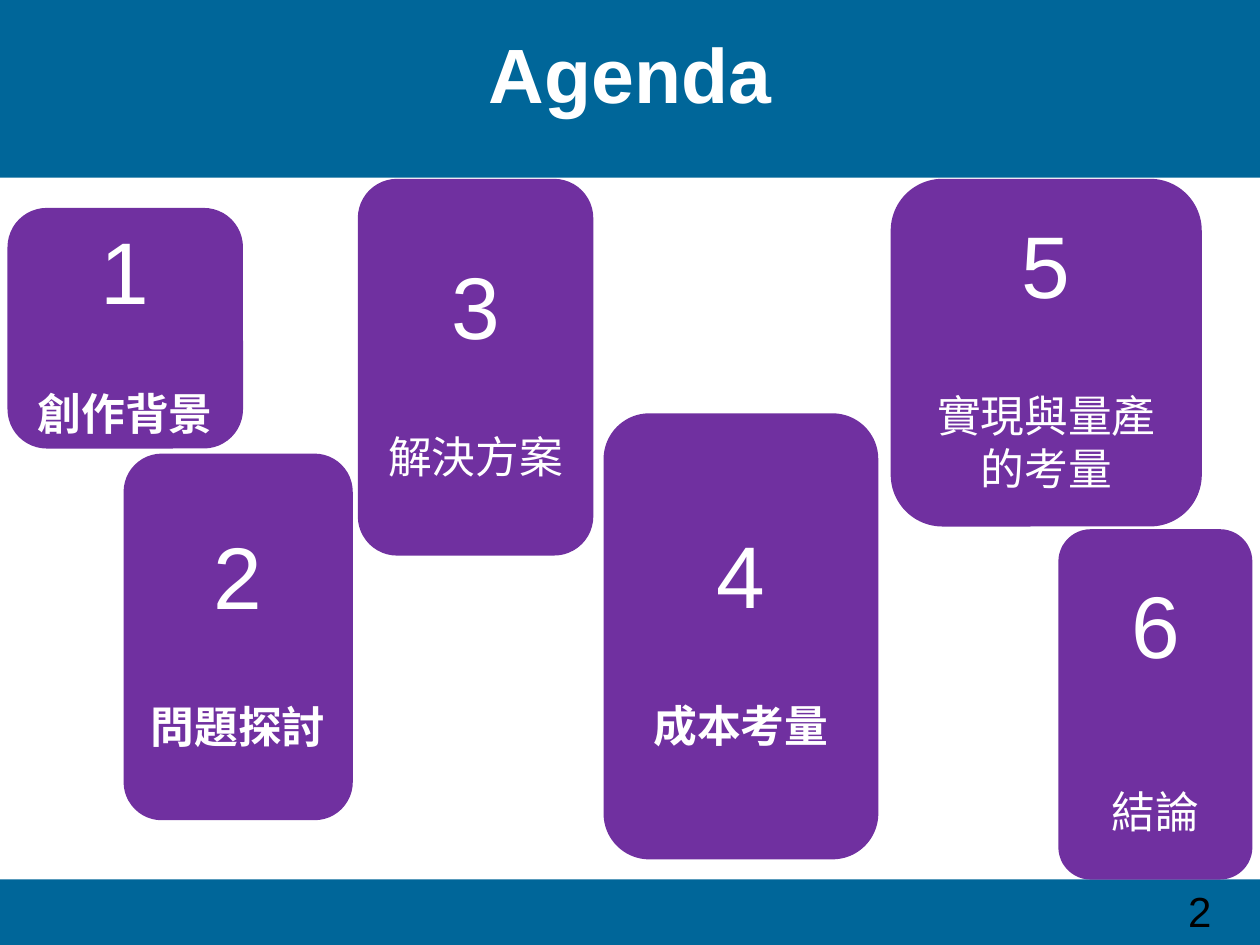
from pptx import Presentation
from pptx.dml.color import RGBColor
from pptx.enum import shapes, text
from pptx.util import Pt

BLUE = RGBColor(0x00, 0x66, 0x99)
PURPLE = RGBColor(0x70, 0x30, 0xA0)
WHITE = RGBColor(0xFF, 0xFF, 0xFF)
BLACK = RGBColor(0x00, 0x00, 0x00)
FONT = "Arial"
WIDTH, HEIGHT = 720, 540
HEADER_HEIGHT = 101.5
FOOTER_TOP = 502.5

TOPICS = [
    ("1", "創作背景", True, 37, (4.3, 118.8, 134.6, 137.5)),
    ("2", "問題探討", True, 41.5, (70.6, 259.2, 131, 209.5)),
    ("4", "成本考量", True, 41.5, (344.9, 236.2, 157, 254.9)),
    ("5", "實現與量產的考量", False, 41.5, (509, 102.2, 177.8, 198.7)),
    ("6", "結論", False, 62, (604.8, 302.4, 110.9, 200.2)),
    ("3", "解決方案", False, 41.5, (204.5, 102.2, 134.6, 215.3)),
]


def format_text(paragraph, size, color, bold=False):
    for run in paragraph.runs:
        run.font.name = FONT
        run.font.size = Pt(size)
        run.font.bold = bold
        run.font.color.rgb = color


def add_block(slide, preset, bounds, color):
    block = slide.shapes.add_shape(preset, *map(Pt, bounds))
    block.shadow.inherit = False
    block.fill.solid()
    block.fill.fore_color.rgb = color
    block.line.fill.background()
    return block


def add_heading(slide, wording):
    heading = slide.shapes.title
    heading.left, heading.top = Pt(0), Pt(0)
    heading.width, heading.height = Pt(WIDTH), Pt(83)
    frame = heading.text_frame
    frame.text = wording
    frame.vertical_anchor = text.MSO_ANCHOR.MIDDLE
    frame.paragraphs[0].alignment = text.PP_ALIGN.CENTER
    format_text(frame.paragraphs[0], 44, WHITE, True)
    slide.shapes._spTree.append(heading._element)


def add_page_number(slide, number):
    page = slide.shapes.add_textbox(Pt(671.8), Pt(FOOTER_TOP), Pt(48.2), Pt(39.6))
    page.text_frame.word_wrap = True
    page.text_frame.text = number
    format_text(page.text_frame.paragraphs[0], 24, BLACK)


def add_topic(slide, number, label, bold, gap, bounds):
    card = add_block(slide, shapes.MSO_SHAPE.ROUNDED_RECTANGLE, bounds, PURPLE)
    frame = card.text_frame
    frame.word_wrap = True
    frame.vertical_anchor = text.MSO_ANCHOR.MIDDLE
    frame.text = f"{number}\n{label}"
    number_line, label_line = frame.paragraphs
    for line in frame.paragraphs:
        line.alignment = text.PP_ALIGN.CENTER
    label_line.space_before = Pt(gap)
    format_text(number_line, 50, WHITE)
    format_text(label_line, 25, WHITE, bold)


def main():
    deck = Presentation()
    deck.slide_width, deck.slide_height = Pt(WIDTH), Pt(HEIGHT)
    slide = deck.slides.add_slide(deck.slide_layouts[5])
    for top, height in ((FOOTER_TOP, HEIGHT - FOOTER_TOP), (0, HEADER_HEIGHT)):
        add_block(slide, shapes.MSO_SHAPE.RECTANGLE, (0, top, WIDTH, height), BLUE)
    add_heading(slide, "Agenda")
    add_page_number(slide, "2")
    for topic in TOPICS:
        add_topic(slide, *topic)
    deck.save("out.pptx")


if __name__ == "__main__":
    main()
